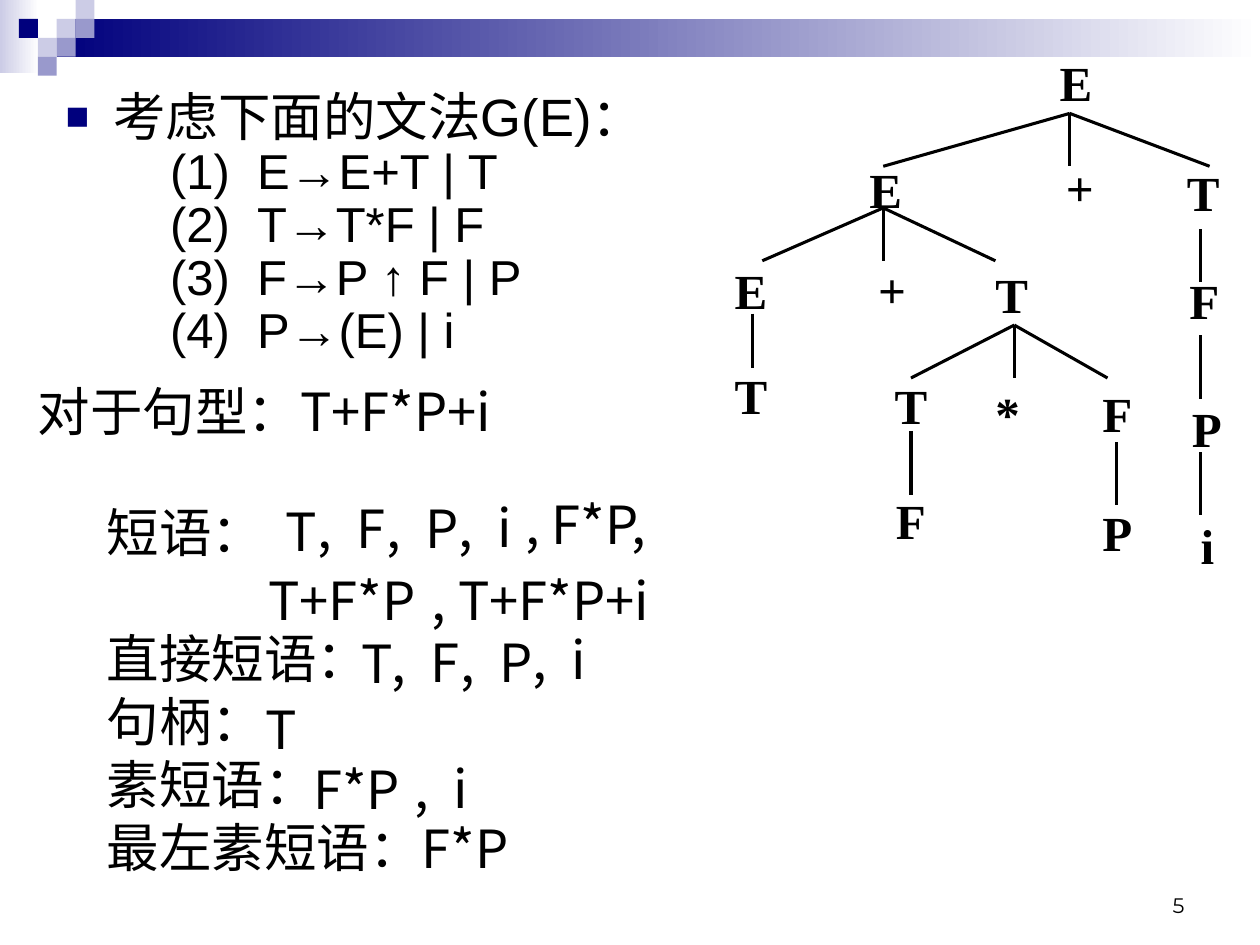
import dataclasses

import pptx
import pptx.dml.color
import pptx.enum.dml
import pptx.enum.shapes
import pptx.enum.text
import pptx.oxml.ns
import pptx.util
from lxml import etree


@dataclasses.dataclass(frozen=True)
class Theme:
    ink: str = "000000"
    navy: str = "00007D"
    violet: str = "9999CC"
    lavender: str = "CCCCE6"
    white: str = "FFFFFF"
    chinese: str = "Noto Sans CJK SC"
    body: str = "Arial"
    tree: str = "Times New Roman"
    number: str = "Montserrat"
    large: int = 30
    medium: int = 28
    small: int = 12
    line: float = 1.75


class SlideBuilder:
    COLUMNS, ROWS = 100, 75

    def __init__(self, presentation, theme):
        self.theme = theme
        self.column = presentation.slide_width / self.COLUMNS
        self.row = presentation.slide_height / self.ROWS
        self.slide = presentation.slides.add_slide(presentation.slide_layouts[1])
        title = self.slide.shapes.title
        title.element.getparent().remove(title.element)

    def place(self, left, top, width, height):
        return (round(left * self.column), round(top * self.row),
                round(width * self.column), round(height * self.row))

    def color(self, value):
        return pptx.dml.color.RGBColor.from_string(value)

    def block(self, box, *colors):
        shape = self.slide.shapes.add_shape(
            pptx.enum.shapes.MSO_SHAPE.RECTANGLE, *self.place(*box))
        shape.shadow.inherit = False
        shape.line.fill.background()
        if len(colors) == 1:
            shape.fill.solid()
            shape.fill.fore_color.rgb = self.color(colors[0])
            return
        shape.fill.gradient()
        shape.fill.gradient_angle = 0
        for stop, position, value in zip(shape.fill.gradient_stops, (0, 1), colors):
            stop.position = position
            stop.color.rgb = self.color(value)

    def line(self, start, end):
        ends = self.place(*start, *end)
        connector = self.slide.shapes.add_connector(
            pptx.enum.shapes.MSO_CONNECTOR.STRAIGHT, *ends)
        connector.line.color.rgb = self.color(self.theme.ink)
        connector.line.width = pptx.util.Pt(self.theme.line)
        etree.SubElement(connector.element.spPr, pptx.oxml.ns.qn("a:effectLst"))

    def run(self, paragraph, text, size, font, bold=False):
        run = paragraph.add_run()
        run.text = text
        run.font.size = pptx.util.Pt(size)
        run.font.name = font
        run.font.bold = bold
        run.font.color.rgb = self.color(self.theme.ink)
        properties = run.font._element
        east_asian = etree.SubElement(properties, pptx.oxml.ns.qn("a:ea"))
        east_asian.set("typeface", self.theme.chinese)

    def indent(self, paragraph, margin, hanging, bullet=None):
        properties = paragraph._p.get_or_add_pPr()
        properties.set("marL", str(round(margin * self.column)))
        properties.set("indent", str(round(-hanging * self.column)))
        if bullet is None:
            etree.SubElement(properties, pptx.oxml.ns.qn("a:buNone"))
            return
        color = etree.SubElement(properties, pptx.oxml.ns.qn("a:buClr"))
        etree.SubElement(color, pptx.oxml.ns.qn("a:srgbClr")).set("val", self.theme.navy)
        etree.SubElement(properties, pptx.oxml.ns.qn("a:buSzPct")).set("val", "75000")
        etree.SubElement(properties, pptx.oxml.ns.qn("a:buChar")).set("char", bullet)

    def text(self, box, lines, size, font, bold=False, inset=(1, 0.5), wrap=True):
        shape = self.slide.shapes.add_textbox(*self.place(*box))
        frame = shape.text_frame
        frame.word_wrap = wrap
        frame.margin_left = frame.margin_right = round(inset[0] * self.column)
        frame.margin_top = frame.margin_bottom = round(inset[1] * self.row)
        for index, line in enumerate(lines):
            paragraph = frame.add_paragraph() if index else frame.paragraphs[0]
            self.run(paragraph, line, size, font, bold)
        return frame

    def node(self, label, left, top):
        self.text((left, top, 3, 4.7), [label], self.theme.medium, self.theme.tree,
                  bold=True, inset=(0, 0))

    def answer(self, label, left, top):
        frame = self.text((left, top, 22, 6), [label], self.theme.large, self.theme.chinese)
        if "\t" in label:
            self.indent(frame.paragraphs[0], 3.1, 3.1)

    def grammar(self, box, heading, rules):
        shape = self.slide.placeholders[1]
        shape.left, shape.top, shape.width, shape.height = self.place(*box)
        frame = shape.text_frame
        frame.auto_size = pptx.enum.text.MSO_AUTO_SIZE.NONE
        for index, line in enumerate([heading, *rules]):
            paragraph = frame.add_paragraph() if index else frame.paragraphs[0]
            paragraph.line_spacing = 0.9
            paragraph.space_before = pptx.util.Pt(0)
            if index:
                paragraph.level = 1
                self.indent(paragraph, 15.2, 6.9)
            else:
                self.indent(paragraph, 3.8, 3.8, "■")
            size = self.theme.medium if index else self.theme.large
            self.run(paragraph, line, size, self.theme.body)

    def page_number(self, box, number):
        frame = self.text(box, [number], self.theme.small, self.theme.number)
        frame.vertical_anchor = pptx.enum.text.MSO_ANCHOR.BOTTOM
        frame.paragraphs[0].alignment = pptx.enum.text.PP_ALIGN.RIGHT


def main():
    presentation = pptx.Presentation()
    presentation.slide_width = pptx.util.Inches(10)
    presentation.slide_height = pptx.util.Inches(7.5)
    theme = Theme()
    builder = SlideBuilder(presentation, theme)

    builder.block((0, 0, 3.1, 5.8), theme.lavender, theme.white)
    builder.block((4.5, 1.5, 95.5, 3), theme.navy, theme.white)
    tile = 1.5
    for column, row, color in [
        (3, 1, theme.lavender), (4, 0, theme.lavender), (4, 1, theme.violet),
        (2, 2, theme.lavender), (1, 1, theme.navy), (3, 2, theme.violet),
        (2, 3, theme.violet),
    ]:
        builder.block((column * tile, row * tile, tile, tile), color)

    builder.page_number((71.7, 68.3, 23.3, 5), "5")
    builder.grammar((4.2, 6.7, 90.8, 25.8), "考虑下面的文法G(E)：", [
        "(1)\tE→E+T | T", "(2)\tT→T*F | F", "(3)\tF→P ↑ F | P", "(4)\tP→(E) | i"])

    for label, left, top in [
        ("E", 84.1, 4.2), ("E", 69, 12.7), ("+", 84.6, 12.5), ("T", 94.2, 12.9),
        ("E", 58.3, 20.7), ("+", 69.7, 20.6), ("T", 79, 21), ("F", 94.4, 21.5),
        ("T", 58.3, 29), ("T", 71, 29.8), ("*", 79, 30.4), ("F", 87.5, 30.4),
        ("P", 94.6, 31.6), ("F", 71.1, 38.9), ("P", 87.5, 39.9), ("i", 95.3, 40.9),
    ]:
        builder.node(label, left, top)

    branch = 4.2
    for parent, top, children in [
        (84.9, 9, (70.1, 84.9, 96)),
        (70.1, 16.5, (60.5, 70.1, 79)),
        (80.5, 25.8, (72.3, 80.5, 87.9)),
    ]:
        for child in children:
            builder.line((parent, top), (child, top + branch))
    for column, top, length in [
        (59.7, 24.9, 4.3), (72.3, 34.2, 5.1), (88.6, 35.1, 5),
        (95.3, 18.2, 4.2), (95.3, 26.6, 5.1), (95.3, 35.9, 5),
    ]:
        builder.line((column, top), (column, top + length))

    builder.text((2, 29.6, 49.2, 6.7), ["对于句型：T+F*P+i"], theme.large, theme.chinese)
    labels = builder.text((7.5, 39.2, 27.5, 27.5), [
        "短语：", "直接短语：", "句柄：", "素短语：", "最左素短语："],
        theme.large, theme.chinese)
    labels.paragraphs[1].space_before = pptx.util.Pt(36)

    for label, left, top in [
        ("T", 21.7, 39.1), (",\tF", 24.2, 38.9), (",\tP", 29.7, 38.9),
        (",\ti", 35.4, 38.8), (", F*P,", 40.7, 38.6),
        ("T+F*P", 20.3, 44.6), (", T+F*P+i", 33.3, 44.6),
        ("T", 27.7, 49.6), (",\tF", 30.1, 49.5), (",\tP", 35.6, 49.5), (",\ti", 41.3, 49.3),
        ("T", 20.1, 54.8), ("F*P", 23.9, 59.6), (",\ti", 31.9, 59.5), ("F*P", 32.5, 64.3),
    ]:
        builder.answer(label, left, top)

    presentation.save("out.pptx")


if __name__ == "__main__":
    main()
